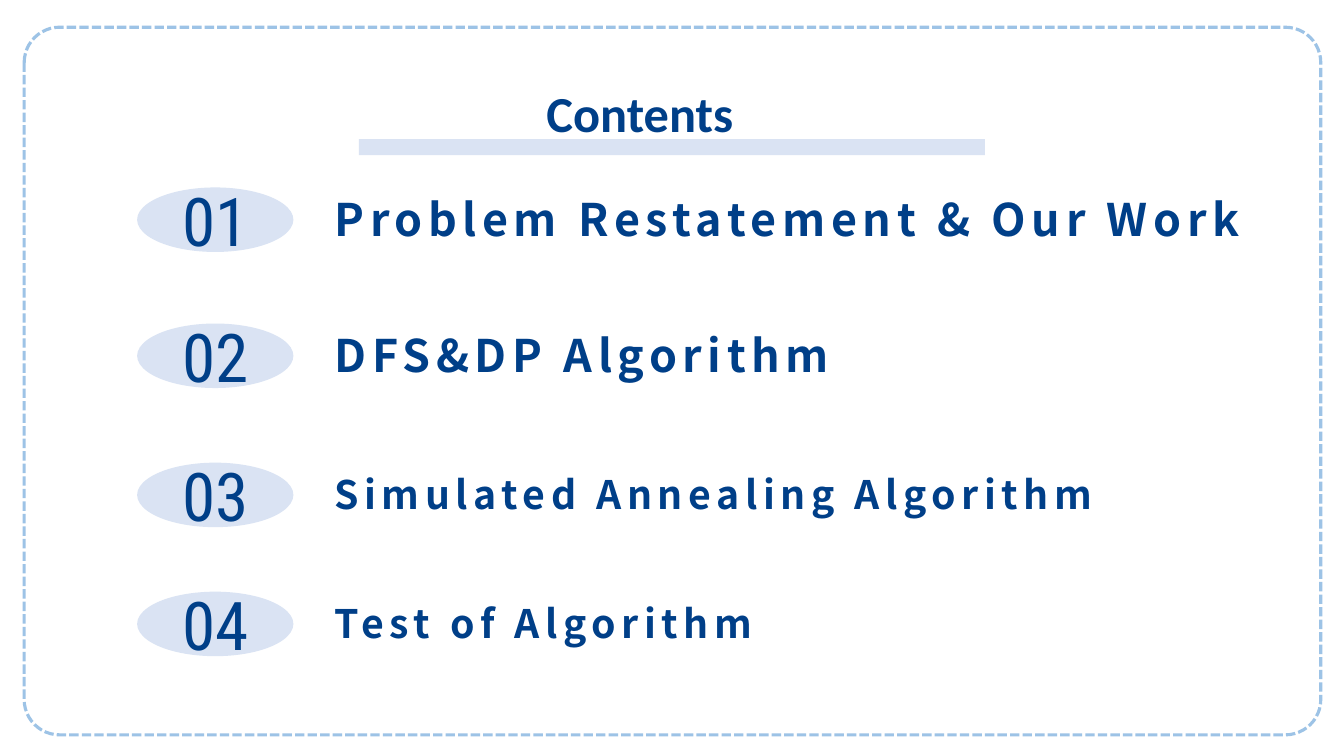
from dataclasses import dataclass

from pptx import Presentation
from pptx.dml.color import RGBColor
from pptx.enum.dml import MSO_LINE
from pptx.enum.shapes import MSO_SHAPE
from pptx.enum.text import MSO_ANCHOR, MSO_AUTO_SIZE, PP_ALIGN
from pptx.shapes.autoshape import Shape
from pptx.slide import Slide
from pptx.util import Emu, Pt

EMU_PER_PX = 9144  # 100 px to the inch
NAVY = RGBColor(0x00, 0x3F, 0x88)
PALE_BLUE = RGBColor(0xDA, 0xE3, 0xF3)
SKY_BLUE = RGBColor(0x9D, 0xC3, 0xE6)

HEADING_FONT = "Calibri"
TOPIC_FONT = "Noto Sans CJK SC"
NUMBER_FONT = "Roboto Condensed"


@dataclass(frozen=True)
class Topic:
    text: str
    top: int
    width: int
    size: int


TOPICS = [
    Topic("Problem Restatement & Our Work", 186, 936, 32),
    Topic("DFS&DP Algorithm", 321, 962, 32),
    Topic("Simulated Annealing Algorithm", 459, 836, 28),
    Topic("Test of Algorithm", 587, 883, 28),
]


def px(length: int) -> Emu:
    return Emu(length * EMU_PER_PX)


def place(shape: Shape, left: int, top: int, width: int, height: int) -> None:
    shape.left, shape.top = px(left), px(top)
    shape.width, shape.height = px(width), px(height)


def write(box: Shape, text: str, *, font: str, size: int, bold: bool = False,
          align: PP_ALIGN = PP_ALIGN.LEFT, anchor: MSO_ANCHOR = MSO_ANCHOR.TOP,
          fit: MSO_AUTO_SIZE = MSO_AUTO_SIZE.NONE, spacing: int = 0) -> None:
    """Fill a box with one formatted line; spacing is in points per letter."""
    frame = box.text_frame
    frame.word_wrap = True
    frame.auto_size = fit
    frame.vertical_anchor = anchor
    para = frame.paragraphs[0]
    para.alignment = align
    span = para.add_run()
    span.text = text
    span.font.name = font
    span.font.size = Pt(size)
    span.font.bold = bold
    span.font.color.rgb = NAVY
    if spacing:
        span.font._element.set("spc", str(spacing * 100))


def add_pale_shape(page: Slide, kind: MSO_SHAPE, left: int, top: int,
                   width: int, height: int) -> None:
    shape = page.shapes.add_shape(kind, px(left), px(top), px(width), px(height))
    shape.shadow.inherit = False
    shape.fill.solid()
    shape.fill.fore_color.rgb = PALE_BLUE
    shape.line.fill.background()


def add_border(page: Slide) -> None:
    border = page.shapes.add_shape(
        MSO_SHAPE.ROUNDED_RECTANGLE, px(24), px(27), px(1286), px(702))
    border.adjustments[0] = 0.05
    border.shadow.inherit = False
    border.fill.background()
    border.line.color.rgb = SKY_BLUE
    border.line.width = Pt(2.25)
    border.line.dash_style = MSO_LINE.SQUARE_DOT


def add_heading(page: Slide) -> None:
    heading = page.shapes.title
    place(heading, 532, 76, 270, 71)
    write(heading, "Contents", font=HEADING_FONT, size=36, bold=True,
          align=PP_ALIGN.JUSTIFY, fit=MSO_AUTO_SIZE.SHAPE_TO_FIT_TEXT)
    add_pale_shape(page, MSO_SHAPE.RECTANGLE, 356, 138, 621, 16)


def add_topic(page: Slide, number: int, topic: Topic) -> None:
    add_pale_shape(page, MSO_SHAPE.OVAL, 136, topic.top, 155, 64)
    number_box = page.shapes.add_textbox(
        px(165), px(topic.top - 13), px(97), px(91))
    write(number_box, f"{number:02}", font=NUMBER_FONT, size=48,
          align=PP_ALIGN.CENTER, fit=MSO_AUTO_SIZE.SHAPE_TO_FIT_TEXT)
    topic_box = page.shapes.add_textbox(
        px(322), px(topic.top - 14), px(topic.width), px(90))
    write(topic_box, topic.text, font=TOPIC_FONT, size=topic.size, bold=True,
          anchor=MSO_ANCHOR.MIDDLE, spacing=4)


def main() -> None:
    deck = Presentation()
    deck.slide_width, deck.slide_height = px(1333), px(750)
    title_only = deck.slide_layouts.get_by_name("Title Only")
    page = deck.slides.add_slide(title_only)
    add_border(page)
    add_heading(page)
    for number, topic in enumerate(TOPICS, start=1):
        add_topic(page, number, topic)
    deck.save("out.pptx")


if __name__ == "__main__":
    main()
